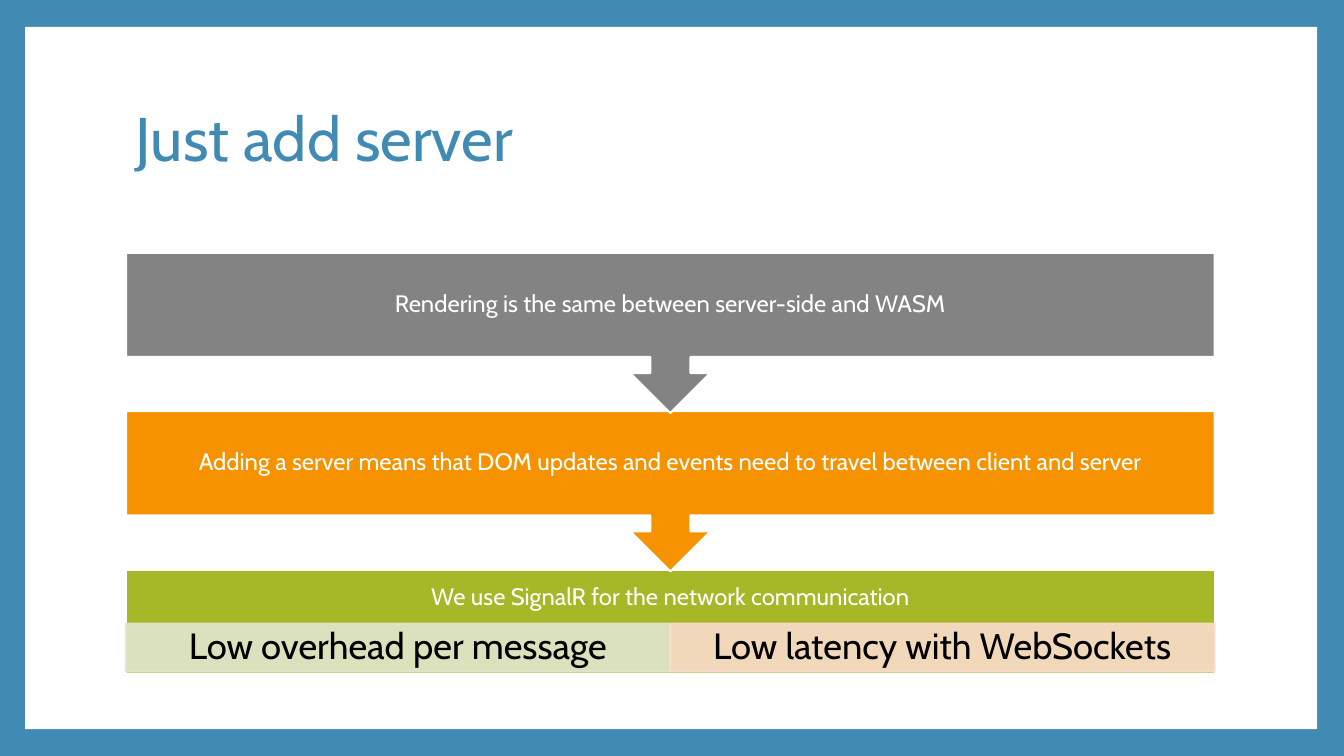
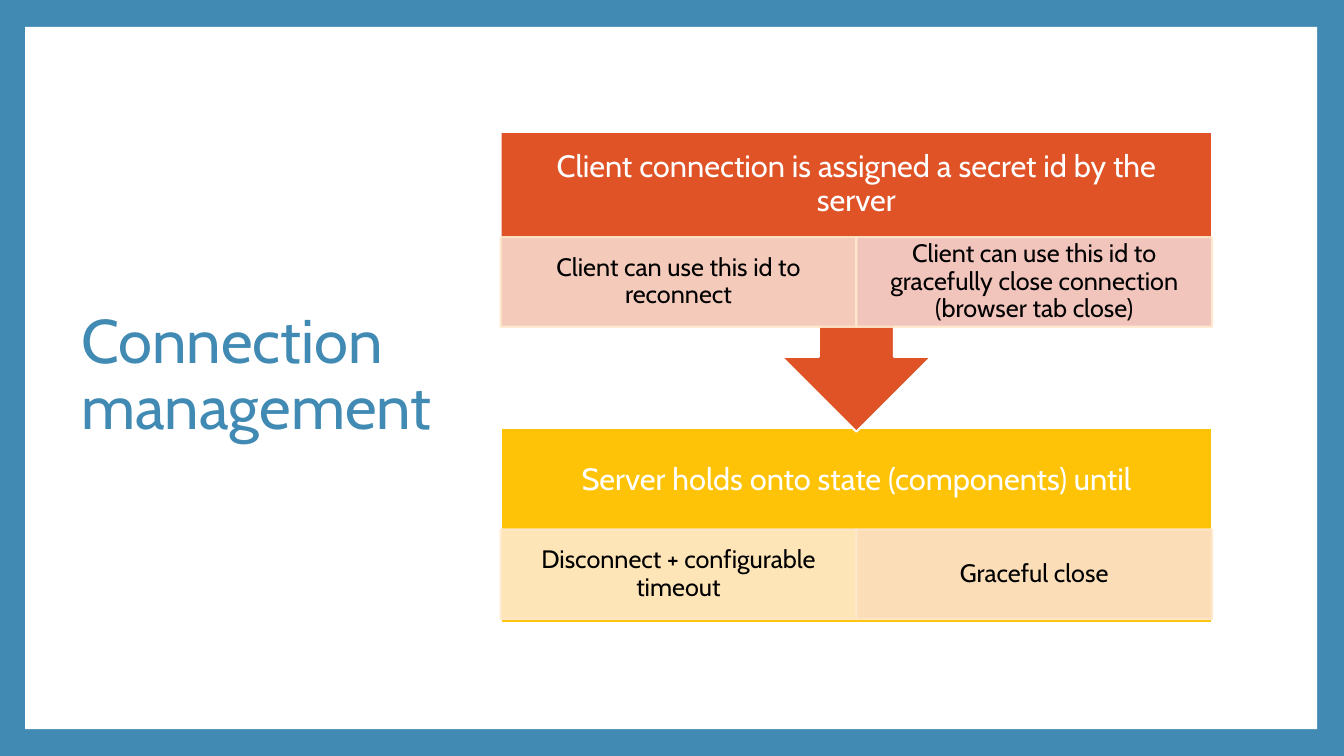
from dataclasses import dataclass

from lxml import etree
from pptx import Presentation
from pptx import util as u
from pptx.dml.color import RGBColor
from pptx.enum import shapes, text
from pptx.oxml.ns import qn
from pptx.shapes.autoshape import Shape
from pptx.slide import Slide


@dataclass(frozen=True)
class Theme:
    font: str = "Cabin"
    blue: str = "418AB3"
    white: str = "FFFFFF"
    black: str = "000000"
    title_size: float = 44
    line_width: float = 1.5
    line_spacing: float = 0.9
    detail_opacity: int = 90


@dataclass(frozen=True)
class Box:
    """Place on the grid, in columns and rows."""
    left: float
    top: float
    width: float
    height: float


@dataclass(frozen=True)
class Detail:
    label: str
    fill: str
    line: str


@dataclass(frozen=True)
class Step:
    label: str
    fill: str
    details: tuple[Detail, ...] = ()


@dataclass(frozen=True)
class Flow:
    title: str
    title_box: Box
    left: float
    top: float
    width: float
    body: float  # height of a step without its arrow, in rows
    step_size: float
    detail_size: float
    step_inset: float  # insets in inches
    detail_insets: tuple[float, float]
    steps: tuple[Step, ...]


THEME = Theme()

# Grid of 16 columns by 9 rows
WIDTH, HEIGHT = u.Inches(13.333), u.Inches(7.5)
COLUMN, ROW = WIDTH / 16, HEIGHT / 9
PANEL = Box(0.3, 0.32, 15.38, 8.36)

# Proportions of a flow, as shares of a step's body
PITCH = 1.52
HEADER = 0.54
DETAIL_TOP_LAST = 0.52
DETAIL_HEIGHT = 0.46
ARROW_BODY = 0.65  # body as a share of the whole callout
ARROW_SIZE = 0.25

PALE_ORANGE = "FFE9CC"
FLOWS = (
    Flow(
        "Just add server", Box(1.5, 0.8, 12.96, 1.78),
        left=1.5, top=3.01, width=12.96, body=1.24,
        step_size=17, detail_size=26, step_inset=0.13, detail_insets=(0.2, 0.04),
        steps=(
            Step("Rendering is the same between server-side and WASM", "838383"),
            Step("Adding a server means that DOM updates and events need to travel "
                 "between client and server", "F69200"),
            Step("We use SignalR for the network communication", "A6B727", (
                Detail("Low overhead per message", "E1E6CD", "E1E6CD"),
                Detail("Low latency with WebSockets", "FBDCCC", "FBDCCC"),
            )),
        ),
    ),
    Flow(
        "Connection management", Box(0.85, 0.8, 4.42, 7.36),
        left=5.96, top=1.57, width=8.47, body=2.32,
        step_size=22, detail_size=18, step_inset=0.17, detail_insets=(0.14, 0.03),
        steps=(
            Step("Client connection is assigned a secret id by the server", "DF5327", (
                Detail("Client can use this id to reconnect", "F7D7CC", PALE_ORANGE),
                Detail("Client can use this id to gracefully close connection "
                       "(browser tab close)", "F3D1CD", PALE_ORANGE),
            )),
            Step("Server holds onto state (components) until", "FEC306", (
                Detail("Disconnect + configurable timeout", PALE_ORANGE, PALE_ORANGE),
                Detail("Graceful close", "FBE0CC", PALE_ORANGE),
            )),
        ),
    ),
)


def place(box: Box) -> tuple[u.Emu, ...]:
    lengths = (box.left * COLUMN, box.top * ROW, box.width * COLUMN, box.height * ROW)
    return tuple(u.Emu(round(length)) for length in lengths)


def write(shape: Shape, label: str, size: float, color: str,
          insets: tuple[float, float] = (0.1, 0.05),
          align: text.PP_ALIGN = text.PP_ALIGN.CENTER) -> None:
    across, down = (u.Inches(inset) for inset in insets)
    frame = shape.text_frame
    frame_format = {
        "word_wrap": True, "vertical_anchor": text.MSO_ANCHOR.MIDDLE,
        "margin_left": across, "margin_right": across,
        "margin_top": down, "margin_bottom": down,
    }
    paragraph = frame.paragraphs[0]
    paragraph.text = label
    paragraph_format = {"alignment": align, "line_spacing": THEME.line_spacing}
    font_format = {"name": THEME.font, "size": u.Pt(size)}
    for target, values in ((frame, frame_format), (paragraph, paragraph_format),
                           (paragraph.font, font_format)):
        for name, value in values.items():
            setattr(target, name, value)
    paragraph.font.color.rgb = RGBColor.from_string(color)


def add_text(slide: Slide, box: Box, label: str, size: float, color: str,
             **options) -> None:
    write(slide.shapes.add_textbox(*place(box)), label, size, color, **options)


def add_block(slide: Slide, box: Box, fill: str, line: str | None = None,
              preset: shapes.MSO_SHAPE = shapes.MSO_SHAPE.RECTANGLE) -> Shape:
    shape = slide.shapes.add_shape(preset, *place(box))
    shape.shadow.inherit = False
    shape.fill.solid()
    shape.fill.fore_color.rgb = RGBColor.from_string(fill)
    if line is None:
        shape.line.fill.background()
    else:
        shape.line.color.rgb = RGBColor.from_string(line)
        shape.line.width = u.Pt(THEME.line_width)
    return shape


def set_opacity(shape: Shape, percent: int) -> None:
    for color in shape._element.spPr.iter(qn("a:srgbClr")):
        etree.SubElement(color, qn("a:alpha")).set("val", str(percent * 1000))


def add_step(slide: Slide, flow: Flow, step: Step, top: float, last: bool) -> None:
    # Body, with a downward arrow unless it ends the flow
    if last:
        add_block(slide, Box(flow.left, top, flow.width, flow.body),
                  step.fill, THEME.white)
    else:
        callout = add_block(
            slide, Box(flow.left, top, flow.width, flow.body / ARROW_BODY),
            step.fill, THEME.white, shapes.MSO_SHAPE.UP_ARROW_CALLOUT)
        callout.rotation = 180
        for index, value in enumerate((ARROW_SIZE,) * 3 + (ARROW_BODY,)):
            callout.adjustments[index] = value

    # Heading
    header = flow.body * (HEADER if step.details else 1)
    add_text(slide, Box(flow.left, top, flow.width, header), step.label,
             flow.step_size, THEME.white, insets=(flow.step_inset,) * 2)

    # Details in equal columns
    detail_top = top + flow.body * (DETAIL_TOP_LAST if last else HEADER)
    for index, detail in enumerate(step.details):
        width = flow.width / len(step.details)
        box = Box(flow.left + index * width, detail_top, width,
                  flow.body * DETAIL_HEIGHT)
        shape = add_block(slide, box, detail.fill, detail.line)
        set_opacity(shape, THEME.detail_opacity)
        write(shape, detail.label, flow.detail_size, THEME.black, flow.detail_insets)


def add_flow(slide: Slide, flow: Flow) -> None:
    add_block(slide, PANEL, THEME.white)
    add_text(slide, flow.title_box, flow.title, THEME.title_size, THEME.blue,
             align=text.PP_ALIGN.LEFT)
    # Later steps lie behind, so each arrow tip stays visible
    for index, step in reversed(tuple(enumerate(flow.steps))):
        top = flow.top + index * flow.body * PITCH
        add_step(slide, flow, step, top, last=index == len(flow.steps) - 1)


def main() -> None:
    presentation = Presentation()
    presentation.slide_width, presentation.slide_height = WIDTH, HEIGHT
    background = presentation.slide_master.background.fill
    background.solid()
    background.fore_color.rgb = RGBColor.from_string(THEME.blue)
    blank = presentation.slide_layouts[6]
    for flow in FLOWS:
        add_flow(presentation.slides.add_slide(blank), flow)
    presentation.save("out.pptx")


if __name__ == "__main__":
    main()
